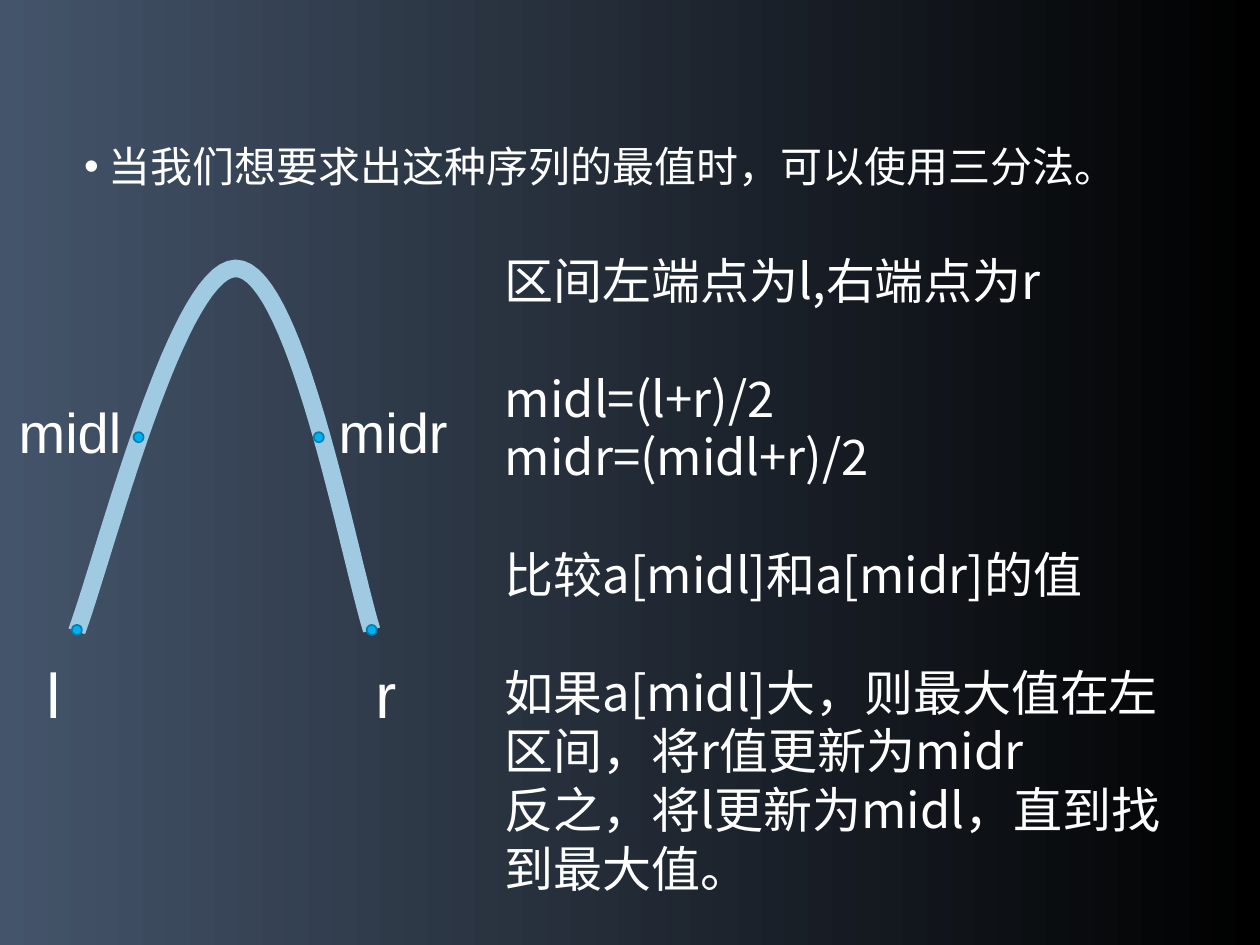
"""Build the slide that explains ternary search on a single-peaked sequence."""
import dataclasses
import typing

import lxml.etree
import pptx
import pptx.dml.color
import pptx.enum.dml
import pptx.enum.shapes
import pptx.enum.text
import pptx.oxml.ns
import pptx.util

Point = tuple[float, float]
inch = pptx.util.Inches
rgb = pptx.dml.color.RGBColor.from_string


@dataclasses.dataclass(frozen=True)
class Theme:
    """Colours, fonts and type sizes of the slide."""
    white: str = "FFFFFF"
    black: str = "000000"
    slate: str = "44546A"
    curve: str = "A0C9E2"
    dot: str = "00B0F0"
    rim: str = "0080B0"
    latin: str = "Arial"
    han: str = "Noto Sans CJK SC"
    lead: int = 24
    body: int = 28
    mid: int = 32
    end: int = 36


@dataclasses.dataclass(frozen=True)
class Box:
    """Place of an item in inches."""
    left: float
    top: float
    width: float
    height: float

    def place(self) -> list[int]:
        """Give the four lengths in slide units."""
        return [inch(v) for v in dataclasses.astuple(self)]


@dataclasses.dataclass(frozen=True)
class Pair:
    """Two labels on one line, the second at a tab stop."""
    box: Box
    first: str
    second: str
    size: int
    stop: float


@dataclasses.dataclass(frozen=True)
class Line:
    """A paragraph with a count of free lines above it."""
    text: str
    gap: int = 0


THEME = Theme()
DOT = 0.08
ENDS, MIDS = 5.0, 3.47
DOTS: list[Point] = [(0.61, ENDS), (1.1, MIDS), (2.95, ENDS), (2.53, MIDS)]
ARCS: list[list[Point]] = [
    [(0.61, 5.01), (0.84, 4.38), (1.41, 2.14), (1.87, 2.13)],
    [(1.87, 2.13), (2.34, 2.13), (2.76, 4.37), (2.95, 5.0)],
]
PAIRS = [
    Pair(Box(0.27, 5.15, 3.15, 0.7), "l", "r", THEME.end, 2.61),
    Pair(Box(0.05, 3.11, 4.26, 0.64), "midl", "midr", THEME.mid, 2.54),
]
STEPS = [
    Line("区间左端点为l,右端点为r"),
    Line("midl=(l+r)/2", 1),
    Line("midr=(midl+r)/2"),
    Line("比较a[midl]和a[midr]的值", 1),
    Line("如果a[midl]大，则最大值在左区间，将r值更新为midr", 1),
    Line("反之，将l更新为midl，直到找到最大值。"),
]


def paint(slide: typing.Any) -> None:
    """Fill the background with a gradient."""
    fill = slide.background.fill
    fill.gradient()
    fill.gradient_angle = 180
    for stop, pos, tone in zip(fill.gradient_stops, (0, 1), (THEME.black, THEME.slate)):
        stop.color.rgb = rgb(tone)
        stop.position = pos


def bezier(arc: list[Point], t: float) -> tuple[int, int]:
    """Give the point of a cubic arc at t."""
    u = 1 - t
    parts = (u ** 3, 3 * u * u * t, 3 * u * t * t, t ** 3)
    x, y = (sum(w * p[i] for w, p in zip(parts, arc)) for i in (0, 1))
    return inch(x), inch(y)


def curve(slide: typing.Any, steps: int = 30) -> None:
    """Draw the single-peaked curve."""
    start, *rest = [bezier(arc, n / steps) for arc in ARCS for n in range(steps + 1)]
    pen = slide.shapes.build_freeform(*start)
    pen.add_line_segments(rest, close=False)
    shape = pen.convert_to_shape()
    shape.shadow.inherit = False
    shape.fill.background()
    shape.line.color.rgb = rgb(THEME.curve)
    shape.line.width = pptx.util.Pt(10)


def dot(slide: typing.Any, spot: Point) -> None:
    """Draw a marker centred on a spot."""
    box = Box(spot[0] - DOT / 2, spot[1] - DOT / 2, DOT, DOT)
    shape = slide.shapes.add_shape(pptx.enum.shapes.MSO_SHAPE.OVAL, *box.place())
    shape.shadow.inherit = False
    shape.fill.solid()
    shape.fill.fore_color.rgb = rgb(THEME.dot)
    shape.line.color.rgb = rgb(THEME.rim)
    shape.line.width = pptx.util.Pt(1)


def write(slide: typing.Any, box: Box, lines: list[str], size: int, face: str) -> list[typing.Any]:
    """Add a wrapped text box and return its paragraphs."""
    frame = slide.shapes.add_textbox(*box.place()).text_frame
    frame.word_wrap = True
    frame.text = "\n".join(lines)
    for para in frame.paragraphs:
        para.font.size = pptx.util.Pt(size)
        para.font.name = face
        para.font.color.rgb = rgb(THEME.white)
    return list(frame.paragraphs)


def child(node: typing.Any, tag: str, **attrs: str) -> typing.Any:
    """Append a drawing element."""
    return lxml.etree.SubElement(node, pptx.oxml.ns.qn(tag), attrs)


def props(para: typing.Any) -> typing.Any:
    """Give the paragraph properties without their run defaults."""
    return para._p.get_or_add_pPr()


def early(para: typing.Any, node: typing.Any) -> None:
    """Move an element ahead of the run defaults."""
    tail = props(para).find(pptx.oxml.ns.qn("a:defRPr"))
    if tail is not None:
        tail.addprevious(node)


def lead(slide: typing.Any) -> None:
    """Write the bulleted opening line."""
    text = "当我们想要求出这种序列的最值时，可以使用三分法。"
    para, = write(slide, Box(0.57, 1.11, 8.62, 0.48), [text], THEME.lead, THEME.latin)
    para.line_spacing = 0.9
    para.space_before = pptx.util.Pt(7.5)
    props(para).set("marL", str(inch(0.19)))
    props(para).set("indent", str(-inch(0.19)))
    early(para, child(props(para), "a:buFont", typeface=THEME.latin))
    early(para, child(props(para), "a:buChar", char="•"))


def label(slide: typing.Any, pair: Pair) -> None:
    """Write two labels parted by a tab stop."""
    text = f"{pair.first}\t{pair.second}"
    para, = write(slide, pair.box, [text], pair.size, THEME.latin)
    tabs = child(props(para), "a:tabLst")
    child(tabs, "a:tab", pos=str(inch(pair.stop)), algn="l")
    early(para, tabs)


def explain(slide: typing.Any) -> None:
    """Write the steps of the search."""
    pitch = THEME.body * 1.2
    paras = write(slide, Box(3.91, 1.94, 5.4, 5.24), [s.text for s in STEPS], THEME.body, THEME.han)
    for para, step in zip(paras, STEPS):
        para.line_spacing = pptx.util.Pt(pitch)
        para.space_before = pptx.util.Pt(pitch * step.gap)


def main() -> None:
    """Build and save the deck."""
    deck = pptx.Presentation()
    deck.slide_width, deck.slide_height = inch(10), inch(7.5)
    slide = deck.slides.add_slide(deck.slide_layouts[6])
    paint(slide)
    lead(slide)
    curve(slide)
    for spot in DOTS:
        dot(slide, spot)
    for pair in PAIRS:
        label(slide, pair)
    explain(slide)
    deck.save("out.pptx")


main()
